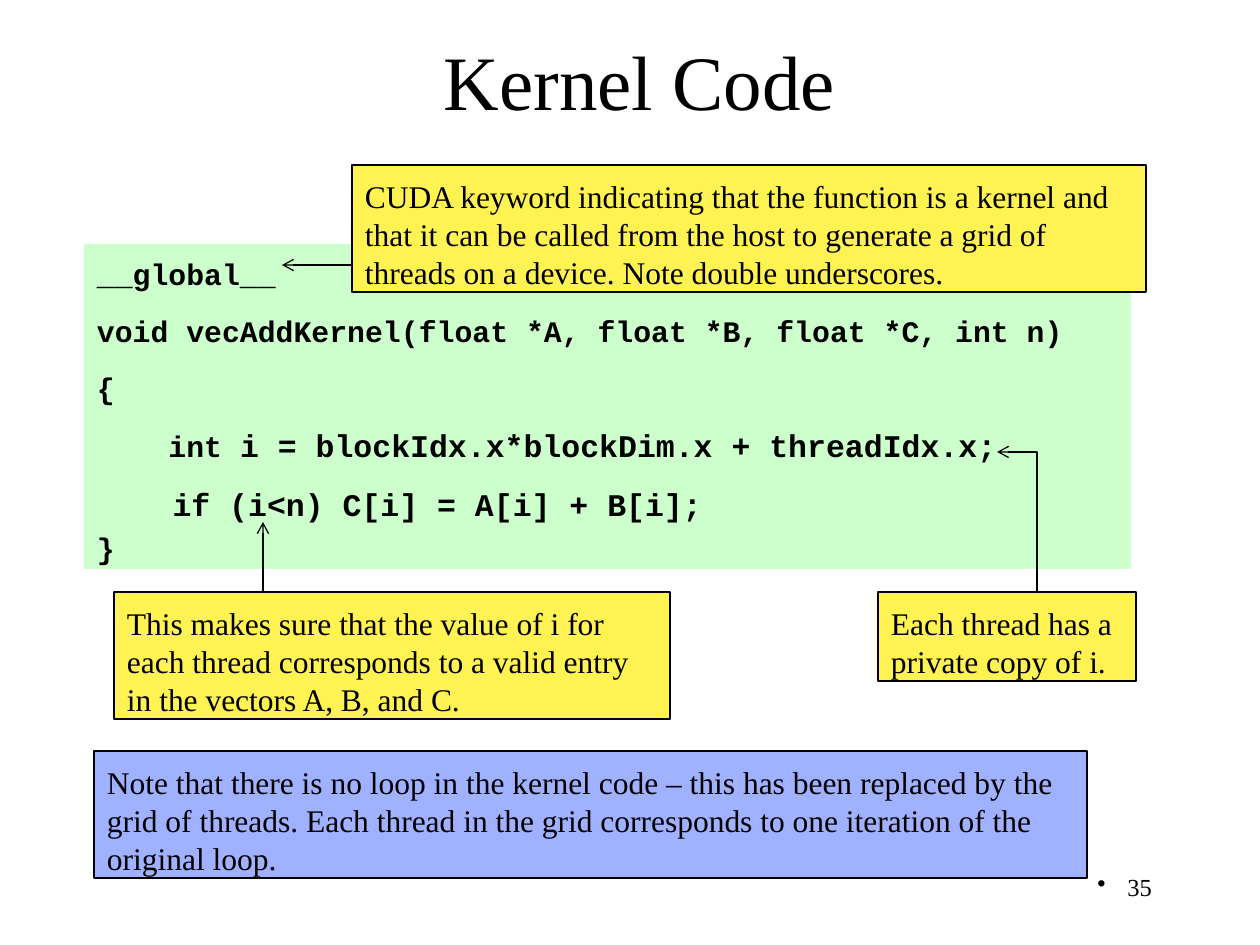
from dataclasses import dataclass

from lxml.etree import SubElement
from pptx import Presentation
from pptx.dml.color import RGBColor
from pptx.enum.shapes import MSO_CONNECTOR as Connector, MSO_SHAPE as Shape
from pptx.enum.text import MSO_ANCHOR as Anchor, PP_ALIGN as Align
from pptx.oxml.ns import qn
from pptx.util import Pt

PX_PER_INCH = 126
EMU_PER_PX = 914400 / PX_PER_INCH
SERIF = "Times New Roman"
MONO = "Courier New"
BLACK = "000000"
YELLOW = "FFF253"
BLUE = "9FB1FF"
GREEN = "CCFFCC"


@dataclass(frozen=True)
class Box:
    left: int
    top: int
    width: int
    height: int


@dataclass(frozen=True)
class Run:
    text: str
    size: int
    font: str = SERIF
    bold: bool = False


@dataclass(frozen=True)
class Line:
    runs: tuple
    before: int = 0
    after: int = 0


@dataclass(frozen=True)
class Note:
    box: Box
    fill: str
    text: str


@dataclass(frozen=True)
class Arrow:
    start: tuple
    end: tuple


def px(length: float) -> int:
    return round(length * EMU_PER_PX)


def color(value: str) -> RGBColor:
    return RGBColor.from_string(value)


def code(text: str, size: int) -> Run:
    return Run(text, size, MONO, True)


def write(shape, lines: tuple, align=Align.LEFT, anchor=Anchor.TOP, top_inset=12) -> None:
    frame = shape.text_frame
    frame.word_wrap = True
    frame.vertical_anchor = anchor
    frame.margin_left = frame.margin_right = px(13)
    frame.margin_top, frame.margin_bottom = px(top_inset), px(6)
    for index, line in enumerate(lines):
        paragraph = frame.add_paragraph() if index else frame.paragraphs[0]
        paragraph.alignment = align
        paragraph.space_before = Pt(line.before)
        paragraph.space_after = Pt(line.after)
        for item in line.runs:
            run = paragraph.add_run()
            run.text = item.text
            run.font.size = Pt(item.size)
            run.font.name = item.font
            run.font.bold = item.bold
            run.font.color.rgb = color(BLACK)


def place(box: Box) -> tuple:
    return px(box.left), px(box.top), px(box.width), px(box.height)


def add_label(slide, box: Box, run: Run, align, anchor, top_inset: int):
    shape = slide.shapes.add_textbox(*place(box))
    write(shape, (Line((run,)),), align, anchor, top_inset)
    return shape


def add_panel(slide, box: Box, fill: str, lines: tuple, outlined: bool) -> None:
    shape = slide.shapes.add_shape(Shape.RECTANGLE, *place(box))
    shape.shadow.inherit = False
    shape.fill.solid()
    shape.fill.fore_color.rgb = color(fill)
    if outlined:
        shape.line.color.rgb = color(BLACK)
        shape.line.width = Pt(0.75)
    else:
        shape.line.fill.background()
    write(shape, lines)


def add_arrow(slide, arrow: Arrow, kind=Connector.STRAIGHT):
    ends = (px(value) for value in (*arrow.start, *arrow.end))
    connector = slide.shapes.add_connector(kind, *ends)
    connector.line.color.rgb = color(BLACK)
    connector.line.width = Pt(0.75)
    SubElement(connector.get_or_add_ln(), qn("a:tailEnd"), type="arrow")
    SubElement(connector._element.spPr, qn("a:effectLst"))
    return connector


def add_corner_arrow(slide, arrow: Arrow) -> None:
    (x1, y1), (x2, y2) = arrow.start, arrow.end
    middle_x, middle_y = (x1 + x2) / 2, (y1 + y2) / 2
    half_run, half_rise = (y1 - y2) / 2, (x1 - x2) / 2
    unrotated = Arrow(
        (middle_x - half_run, middle_y + half_rise),
        (middle_x + half_run, middle_y - half_rise),
    )
    properties = add_arrow(slide, unrotated, Connector.ELBOW)._element.spPr
    properties.find(qn("a:xfrm")).set("rot", str(270 * 60000))
    geometry = properties.find(qn("a:prstGeom"))
    adjustments = geometry.find(qn("a:avLst"))
    if adjustments is None:
        adjustments = SubElement(geometry, qn("a:avLst"))
    SubElement(adjustments, qn("a:gd"), name="adj1", fmla="val 100000")


def add_bullet(shape, indent: int) -> None:
    properties = shape.text_frame.paragraphs[0]._p.get_or_add_pPr()
    properties.set("marL", str(px(indent)))
    properties.set("indent", str(-px(indent)))
    SubElement(properties, qn("a:buChar"), char="•")


CODE_LINES = (
    Line((code("__global__", 17),)),
    Line((code("void vecAddKernel(float *A, float *B, float *C, int n)", 17),), 12),
    Line((code("{", 17),), 12),
    Line((code("    int ", 17), code("i = blockIdx.x*blockDim.x + threadIdx.x;", 18)), 12),
    Line((code("    if (i<n) C[i] = A[i] + B[i];", 18),), 12),
    Line((code("}", 17),), 4, 12),
)
NOTES = (
    Note(Box(114, 592, 556, 127), YELLOW,
         "This makes sure that the value of i for each thread corresponds "
         "to a valid entry in the vectors A, B, and C."),
    Note(Box(352, 165, 794, 127), YELLOW,
         "CUDA keyword indicating that the function is a kernel and that it can be called "
         "from the host to generate a grid of threads on a device. "
         "Note double underscores."),
    Note(Box(878, 592, 258, 89), YELLOW, "Each thread has a private copy of i."),
    Note(Box(94, 751, 993, 127), BLUE,
         "Note that there is no loop in the kernel code – this has been replaced by the grid "
         "of threads. Each thread in the grid corresponds to one iteration of the "
         "original loop."),
)
ARROWS = (Arrow((263, 592), (263, 522)), Arrow((352, 265), (282, 265)))
THREAD_ARROW = Arrow((1037, 592), (997, 452))


def main() -> None:
    presentation = Presentation()
    presentation.slide_width, presentation.slide_height = px(1260), px(945)
    slide = presentation.slides.add_slide(presentation.slide_layouts[6])
    add_label(slide, Box(54, 1, 1171, 158), Run("Kernel Code", 44),
              Align.CENTER, Anchor.MIDDLE, 6)
    number = add_label(slide, Box(903, 861, 262, 63), Run("35", 14),
                       Align.RIGHT, Anchor.TOP, 11)
    add_bullet(number, 30)
    add_panel(slide, Box(84, 244, 1047, 325), GREEN, CODE_LINES, False)
    for note in NOTES:
        add_panel(slide, note.box, note.fill, (Line((Run(note.text, 18),)),), True)
    for arrow in ARROWS:
        add_arrow(slide, arrow)
    add_corner_arrow(slide, THREAD_ARROW)
    presentation.save("out.pptx")


if __name__ == "__main__":
    main()
